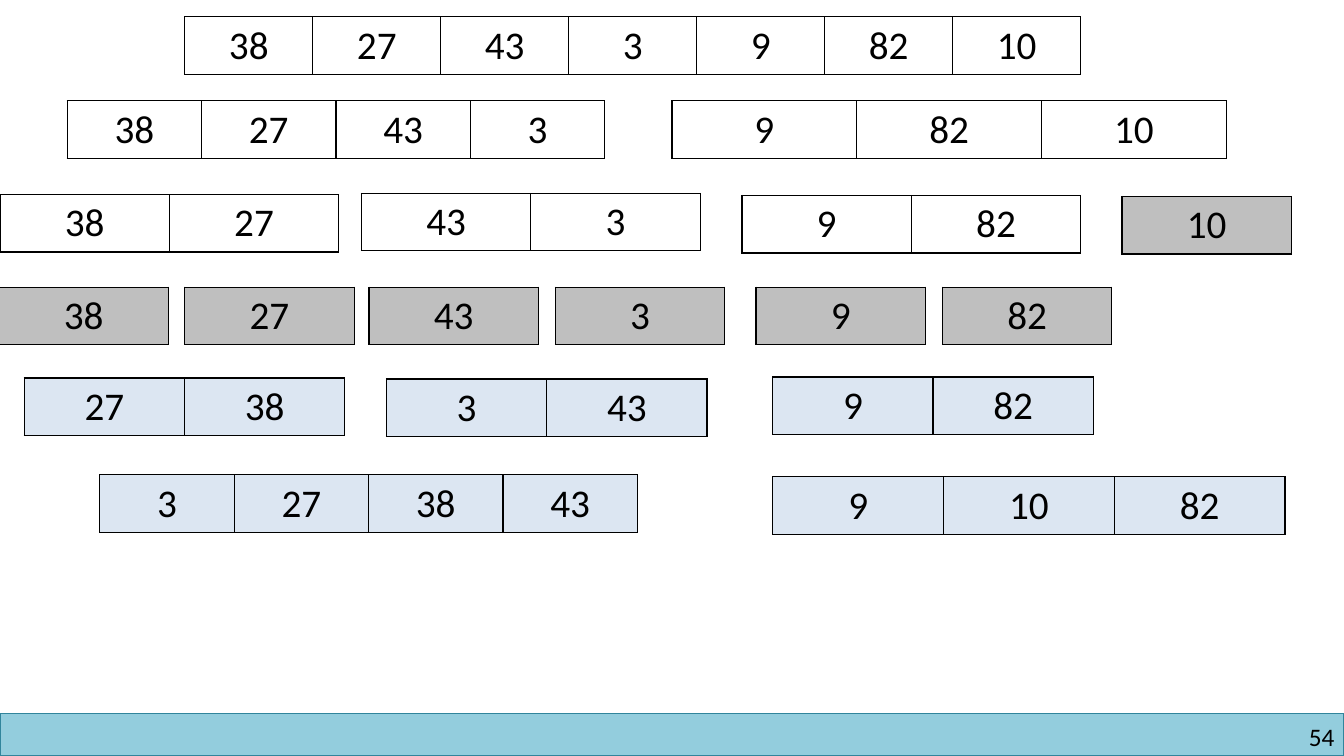
from dataclasses import dataclass

from lxml.etree import SubElement
from pptx import Presentation
from pptx.dml.color import RGBColor
from pptx.enum.shapes import MSO_SHAPE
from pptx.enum.text import MSO_ANCHOR, PP_ALIGN
from pptx.oxml.ns import qn
from pptx.slide import Slide
from pptx.table import _Cell
from pptx.text.text import _Paragraph
from pptx.util import Pt


@dataclass(frozen=True)
class Theme:
    """Colours, font and sizes shared by the whole slide."""

    font: str = "Calibri"
    number_size: float = 28
    page_size: float = 18
    ink: str = "000000"
    whole: str = "FFFFFF"
    single: str = "BFBFBF"
    merged: str = "DCE6F2"
    band: str = "93CDDD"
    band_edge: str = "31859C"
    row_height: float = 41
    border: float = 1


@dataclass(frozen=True)
class NumberStrip:
    """One array of the merge sort, drawn as a one-row table."""

    left: float
    top: float
    cell_width: float
    fill: str
    numbers: tuple[int, ...]


THEME = Theme()
SLIDE_WIDTH, SLIDE_HEIGHT = 960, 540
BAND_TOP = 509.8
HALF_WIDTH, PAIR_WIDTH, MERGED_WIDTH = 96, 121, 114.5
SINGLES_TOP = 205.2

SPLITS = (
    NumberStrip(132, 12, 91.44, THEME.whole, (38, 27, 43, 3, 9, 82, 10)),
    NumberStrip(48, 72, HALF_WIDTH, THEME.whole, (38, 27, 43, 3)),
    NumberStrip(480, 72, 132, THEME.whole, (9, 82, 10)),
    NumberStrip(0, 139, PAIR_WIDTH, THEME.whole, (38, 27)),
    NumberStrip(258.2, 138.2, PAIR_WIDTH, THEME.whole, (43, 3)),
    NumberStrip(530, 139.7, PAIR_WIDTH, THEME.whole, (9, 82)),
    NumberStrip(801.4, 140.4, PAIR_WIDTH, THEME.single, (10,)),
)
SINGLES = tuple(
    NumberStrip(left, SINGLES_TOP, PAIR_WIDTH, THEME.single, (number,))
    for left, number in (
        (-0.7, 38), (132, 27), (263.5, 43), (396.7, 3), (540, 9), (673.2, 82)
    )
)
MERGES = (
    NumberStrip(17.3, 270, MERGED_WIDTH, THEME.merged, (27, 38)),
    NumberStrip(276, 270.7, MERGED_WIDTH, THEME.merged, (3, 43)),
    NumberStrip(552, 269.3, MERGED_WIDTH, THEME.merged, (9, 82)),
    NumberStrip(71.3, 339.1, HALF_WIDTH, THEME.merged, (3, 27, 38, 43)),
    NumberStrip(552, 340.6, 122, THEME.merged, (9, 10, 82)),
)


def write(para: _Paragraph, text: str, size: float, align: PP_ALIGN) -> None:
    """Write one styled span into a paragraph."""
    para.alignment = align
    span = para.add_run()
    span.text = text
    for name, value in {"name": THEME.font, "size": Pt(size)}.items():
        setattr(span.font, name, value)
    span.font.color.rgb = RGBColor.from_string(THEME.ink)


def add_borders(cell: _Cell) -> None:
    """Give a cell a solid line on each side."""
    properties = cell._tc.get_or_add_tcPr()
    for side in ("lnL", "lnR", "lnT", "lnB"):
        line = SubElement(properties, qn(f"a:{side}"), w=str(Pt(THEME.border)))
        fill = SubElement(line, qn("a:solidFill"))
        SubElement(fill, qn("a:srgbClr"), val=THEME.ink)


def draw_strip(page: Slide, strip: NumberStrip) -> None:
    """Draw an array of numbers as a table."""
    count = len(strip.numbers)
    table = page.shapes.add_table(
        1, count, Pt(strip.left), Pt(strip.top),
        Pt(strip.cell_width * count), Pt(THEME.row_height),
    ).table
    for name, value in {"first_row": False, "horz_banding": False}.items():
        setattr(table, name, value)
    for column, number in enumerate(strip.numbers):
        table.columns[column].width = Pt(strip.cell_width)
        cell = table.cell(0, column)
        add_borders(cell)
        cell.fill.solid()
        cell.fill.fore_color.rgb = RGBColor.from_string(strip.fill)
        write(cell.text_frame.paragraphs[0], str(number), THEME.number_size, PP_ALIGN.CENTER)


def draw_footer(page: Slide, number: str) -> None:
    """Draw the bottom band and the page number."""
    band = page.shapes.add_shape(
        MSO_SHAPE.RECTANGLE, Pt(0), Pt(BAND_TOP), Pt(SLIDE_WIDTH), Pt(SLIDE_HEIGHT - BAND_TOP)
    )
    band.shadow.inherit = False
    band.fill.solid()
    band.fill.fore_color.rgb = RGBColor.from_string(THEME.band)
    band.line.color.rgb = RGBColor.from_string(THEME.band_edge)
    band.line.width = Pt(THEME.border)

    box = page.shapes.add_textbox(Pt(732), Pt(515), Pt(221.2), Pt(21.6))
    frame_format = {
        "word_wrap": True, "vertical_anchor": MSO_ANCHOR.TOP,
        "margin_left": 0, "margin_right": 0, "margin_top": 0, "margin_bottom": 0,
    }
    for name, value in frame_format.items():
        setattr(box.text_frame, name, value)
    write(box.text_frame.paragraphs[0], number, THEME.page_size, PP_ALIGN.RIGHT)


def main() -> None:
    """Build the merge sort slide and save it."""
    deck = Presentation()
    deck.slide_width, deck.slide_height = Pt(SLIDE_WIDTH), Pt(SLIDE_HEIGHT)
    page = deck.slides.add_slide(deck.slide_layouts[6])
    draw_footer(page, "54")
    for strip in SPLITS + SINGLES + MERGES:
        draw_strip(page, strip)
    deck.save("out.pptx")


if __name__ == "__main__":
    main()
